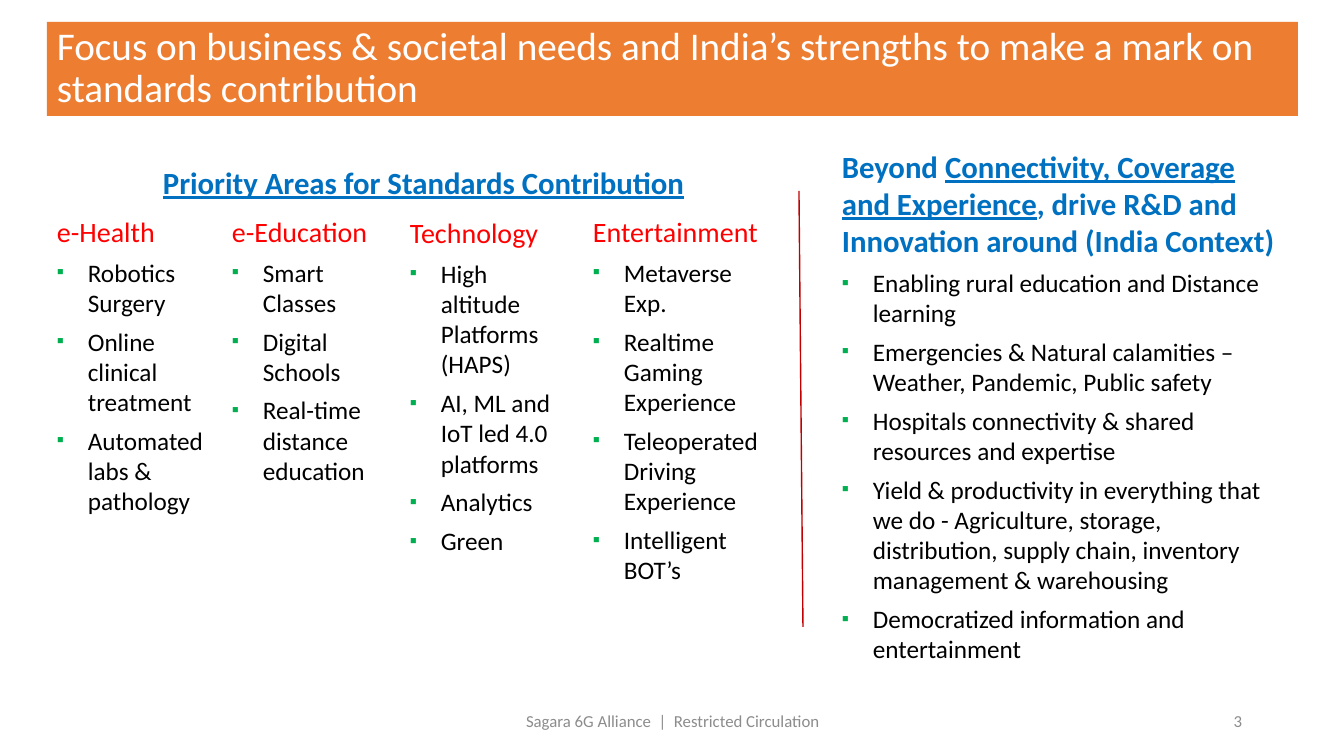
import pptx
import pptx.util
import pptx.dml.color
import pptx.enum.shapes
import pptx.enum.text
import pptx.oxml
import pptx.oxml.ns

COLORS = {
    "orange": "ED7D31",
    "white": "FFFFFF",
    "black": "000000",
    "grey": "8C8C8C",
    "blue": "0070C0",
    "red": "FF0000",
    "dark_red": "C00000",
    "green": "00B050",
}
ALIGN = pptx.enum.text.PP_ALIGN
ANCHOR = pptx.enum.text.MSO_ANCHOR


class SlideBuilder:
    font = "Calibri"
    scale = 914400 / 100.8
    indent = 31

    def __init__(self, slide):
        self.slide = slide

    @classmethod
    def emu(cls, *lengths):
        return [pptx.util.Emu(round(length * cls.scale)) for length in lengths]

    @staticmethod
    def color(name):
        return pptx.dml.color.RGBColor.from_string(COLORS[name])

    def run(self, paragraph, text, size, color, bold=False, underline=False):
        run = paragraph.add_run()
        run.text = text
        run.font.name = self.font
        run.font.size = pptx.util.Pt(size)
        run.font.bold = bold
        run.font.underline = underline
        run.font.color.rgb = self.color(color)

    def banner(self, box, text):
        shape = self.slide.shapes.add_shape(
            pptx.enum.shapes.MSO_SHAPE.RECTANGLE, *self.emu(*box))
        shape.shadow.inherit = False
        shape.fill.solid()
        shape.fill.fore_color.rgb = self.color("orange")
        shape.line.fill.background()
        frame = shape.text_frame
        frame.word_wrap = True
        frame.vertical_anchor = ANCHOR.MIDDLE
        paragraph = frame.paragraphs[0]
        paragraph.alignment = ALIGN.LEFT
        paragraph.line_spacing = 0.9
        self.run(paragraph, text, 28, "white")

    def text_frame(self, box, wrap=True, grow=True):
        frame = self.slide.shapes.add_textbox(*self.emu(*box)).text_frame
        frame.word_wrap = wrap
        if grow:
            frame.auto_size = pptx.enum.text.MSO_AUTO_SIZE.SHAPE_TO_FIT_TEXT
        return frame

    def footer(self, box, text, alignment):
        frame = self.text_frame(box, grow=False)
        frame.vertical_anchor = ANCHOR.MIDDLE
        paragraph = frame.paragraphs[0]
        paragraph.alignment = alignment
        self.run(paragraph, text, 12, "grey")

    def heading(self, box, text):
        frame = self.text_frame(box, wrap=False)
        self.run(frame.paragraphs[0], text, 22, "blue", True, True)

    def bullet(self, frame, text):
        paragraph = frame.add_paragraph()
        paragraph.space_before = pptx.util.Pt(6)
        properties = paragraph._p.get_or_add_pPr()
        margin = self.emu(self.indent)[0]
        properties.set("marL", str(margin))
        properties.set("indent", str(-margin))
        namespace = pptx.oxml.ns.nsdecls("a")
        for markup in (
            f'<a:buClr {namespace}><a:srgbClr val="{COLORS["green"]}"/></a:buClr>',
            f'<a:buSzPct {namespace} val="80000"/>',
            f'<a:buFont {namespace} typeface="{self.font}"/>',
            f'<a:buChar {namespace} char="▪"/>',
        ):
            properties.append(pptx.oxml.parse_xml(markup))
        self.run(paragraph, text, 18, "black")

    def column(self, box, title, items):
        frame = self.text_frame(box)
        self.run(frame.paragraphs[0], title, 20, "red")
        for item in items:
            self.bullet(frame, item)

    def context_panel(self, box, title_runs, items):
        frame = self.text_frame(box)
        paragraph = frame.paragraphs[0]
        paragraph.space_before = pptx.util.Pt(6)
        for text, underline in title_runs:
            self.run(paragraph, text, 22, "blue", True, underline)
        for item in items:
            self.bullet(frame, item)

    def divider(self, *ends):
        connector = self.slide.shapes.add_connector(
            pptx.enum.shapes.MSO_CONNECTOR.STRAIGHT, *self.emu(*ends))
        connector.line.color.rgb = self.color("dark_red")
        connector.line.width = pptx.util.Pt(1)
        connector._element.spPr.append(pptx.oxml.parse_xml(
            f'<a:effectLst {pptx.oxml.ns.nsdecls("a")}/>'))


PRIORITY_AREAS = [
    ((47, 210, 172, 313), "e-Health",
     ["Robotics Surgery", "Online clinical treatment", "Automated labs & pathology"]),
    ((222, 210, 168, 283), "e-Education",
     ["Smart Classes", "Digital Schools", "Real-time distance education"]),
    ((400, 211, 162, 350), "Technology",
     ["High altitude Platforms (HAPS)", "AI, ML and IoT led 4.0 platforms",
      "Analytics", "Green"]),
    ((583, 210, 187, 380), "Entertainment",
     ["Metaverse Exp.", "Realtime Gaming Experience",
      "Teleoperated Driving Experience", "Intelligent BOT’s"]),
]
CONTEXT_TITLE = [
    ("Beyond ", False),
    ("Connectivity, Coverage and Experience", True),
    (", drive R&D and Innovation around (India Context)", False),
]
CONTEXT_ITEMS = [
    "Enabling rural education and Distance learning",
    "Emergencies & Natural calamities – Weather, Pandemic, Public safety",
    "Hospitals connectivity & shared resources and expertise",
    "Yield & productivity in everything that we do - Agriculture, storage, "
    "distribution, supply chain, inventory management & warehousing",
    "Democratized information and entertainment",
]


def main():
    presentation = pptx.Presentation()
    presentation.slide_width, presentation.slide_height = SlideBuilder.emu(1344, 756)
    builder = SlideBuilder(presentation.slides.add_slide(presentation.slide_layouts[6]))
    builder.banner((47, 22, 1251, 94),
                   "Focus on business & societal needs and India’s strengths "
                   "to make a mark on standards contribution")
    builder.footer((446, 701, 454, 40),
                   "Sagara 6G Alliance  |  Restricted Circulation", ALIGN.CENTER)
    builder.footer((950, 701, 302, 40), "3", ALIGN.RIGHT)
    builder.context_panel((832, 143, 456, 531), CONTEXT_TITLE, CONTEXT_ITEMS)
    builder.divider(799, 191, 803, 627)
    for box, title, items in PRIORITY_AREAS:
        builder.column(box, title, items)
    builder.heading((153, 159, 548, 47), "Priority Areas for Standards Contribution")
    presentation.save("out.pptx")


if __name__ == "__main__":
    main()
